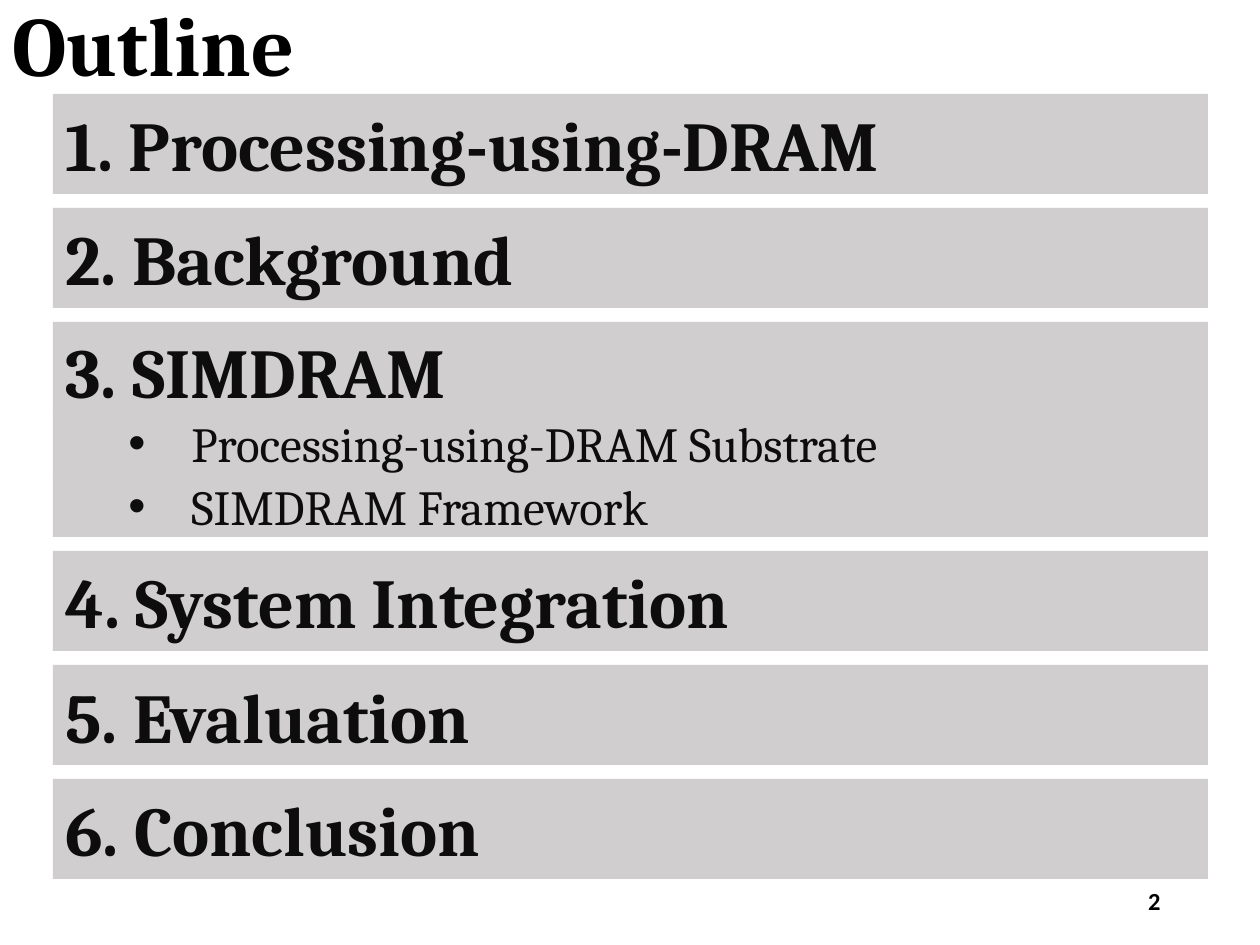
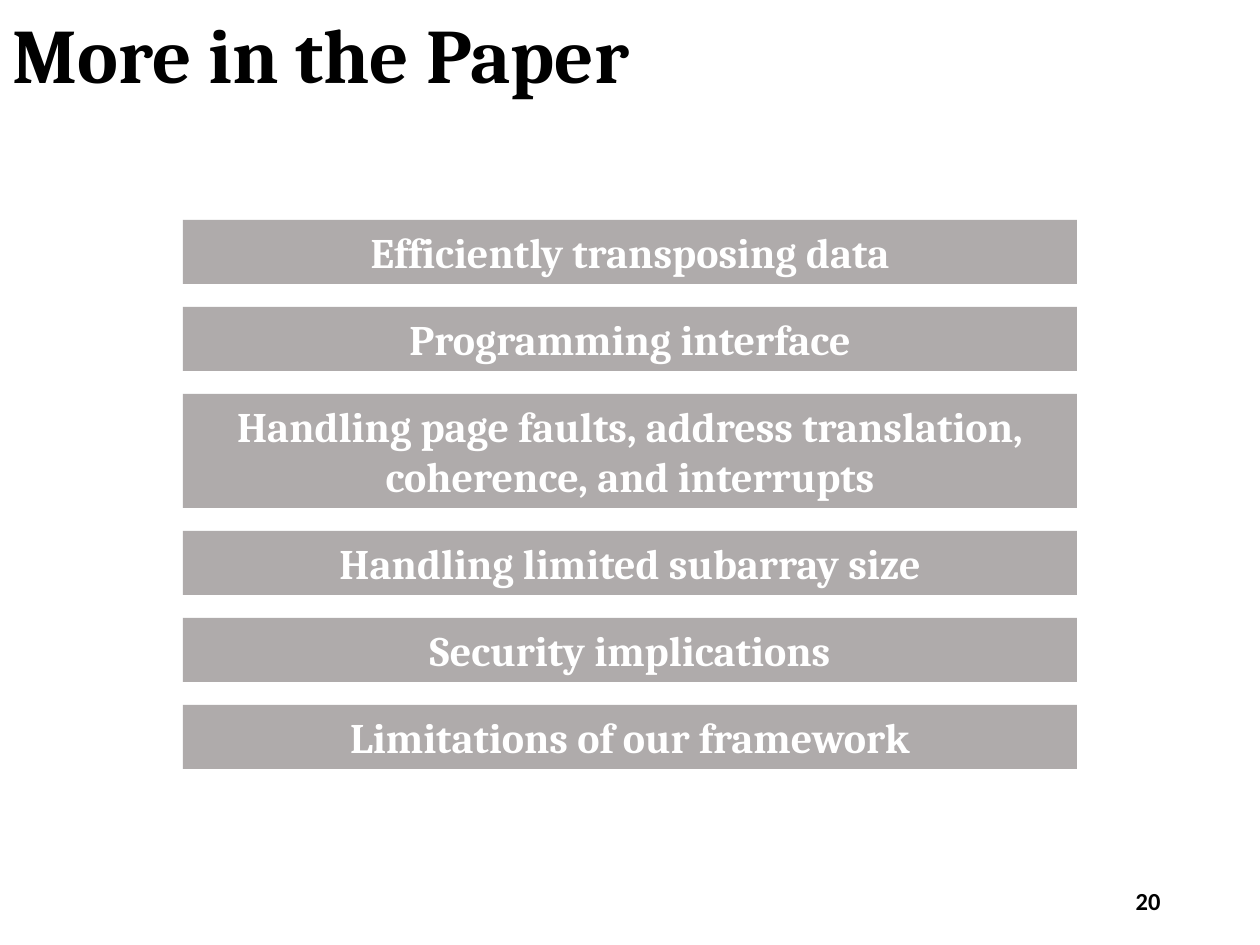
import pptx
import pptx.util
import pptx.dml.color
import pptx.enum.shapes
import pptx.enum.text
import pptx.oxml.ns
import lxml.etree

HUES = {"ink": "000000", "text": "0D0D0D", "pale": "D0CECE", "gray": "AFABAB", "white": "FFFFFF"}
ALIGN = pptx.enum.text.PP_ALIGN
ANCHOR = pptx.enum.text.MSO_ANCHOR
RECT = pptx.enum.shapes.MSO_SHAPE.RECTANGLE


class Deck:
    """Holds the shared style and the current slide."""

    def __init__(self):
        self.file = pptx.Presentation()
        self.file.slide_width, self.file.slide_height = self.px(1260), self.px(945)

    def px(self, n):
        return pptx.util.Emu(round(n * 914400 / 126))

    def hue(self, name):
        return pptx.dml.color.RGBColor.from_string(HUES[name])

    def page(self, title, size, top, number):
        self.slide = self.file.slides.add_slide(self.file.slide_layouts[6])
        head = self.label(0, top, 1239, 102)
        self.words(head, title, size, "ink").line_spacing = 0.9
        foot = self.label(890, 876, 283, 50)
        self.words(foot, number, 14, "ink", align=ALIGN.RIGHT, anchor=ANCHOR.MIDDLE, font="Calibri")

    def label(self, x, y, w, h):
        return self.slide.shapes.add_textbox(*map(self.px, (x, y, w, h)))

    def bar(self, x, y, w, h, fill):
        box = self.slide.shapes.add_shape(RECT, *map(self.px, (x, y, w, h)))
        box.shadow.inherit = False
        box.fill.solid()
        box.fill.fore_color.rgb = self.hue(fill)
        box.line.fill.background()
        return box

    def words(self, box, text, size, color, bold=True, align=ALIGN.LEFT,
              anchor=ANCHOR.TOP, font="Cambria", bullet=False):
        frame = box.text_frame
        frame.word_wrap = True
        frame.vertical_anchor = anchor
        para = frame.paragraphs[0]
        para.alignment = align
        if bullet:
            self.dot(para)
        run = para.add_run()
        run.text = text
        run.font.name = font
        run.font.size = pptx.util.Pt(size)
        run.font.bold = bold
        run.font.color.rgb = self.hue(color)
        return para

    def dot(self, para):
        para.level = 1
        props = para._p.get_or_add_pPr()
        props.set("marL", str(self.px(126)))
        props.set("indent", str(self.px(-63)))
        qn = pptx.oxml.ns.qn
        lxml.etree.SubElement(props, qn("a:buFont")).set("typeface", "Arial")
        lxml.etree.SubElement(props, qn("a:buChar")).set("char", "•")


def outline(deck):
    deck.page("Outline", 48, -2, "2")
    parts = [
        ("Processing-using-DRAM", []),
        ("Background", []),
        ("SIMDRAM", ["Processing-using-DRAM Substrate", "SIMDRAM Framework"]),
        ("System Integration", []),
        ("Evaluation", []),
        ("Conclusion", []),
    ]
    left, wide, gap, row = 53, 1155, 14, 63
    top = 94
    for num, (name, subs) in enumerate(parts, 1):
        high = 89 if subs else 100
        anchor = ANCHOR.TOP if subs else ANCHOR.MIDDLE
        box = deck.bar(left, top, wide, high, "pale")
        deck.words(box, f"{num}. {name}", 40, "text", anchor=anchor)
        top += high
        for sub in subs:
            box = deck.bar(left, top, wide, row, "pale")
            deck.words(box, sub, 28, "text", bold=False, anchor=ANCHOR.MIDDLE, bullet=True)
            top += row
        top += gap


def paper(deck):
    deck.page("More in the Paper", 44, 11, "20")
    topics = [
        ("Efficiently transposing data", 1),
        ("Programming interface", 1),
        ("Handling page faults, address translation, coherence, and interrupts", 2),
        ("Handling limited subarray size", 1),
        ("Security implications", 1),
        ("Limitations of our framework", 1),
    ]
    top, gap = 220, 23
    for text, lines in topics:
        high = 14 + 50 * lines
        box = deck.bar(183, top, 894, high, "gray")
        deck.words(box, text, 24, "white", align=ALIGN.CENTER)
        top += high + gap


def main():
    deck = Deck()
    outline(deck)
    paper(deck)
    deck.file.save("out.pptx")


if __name__ == "__main__":
    main()
